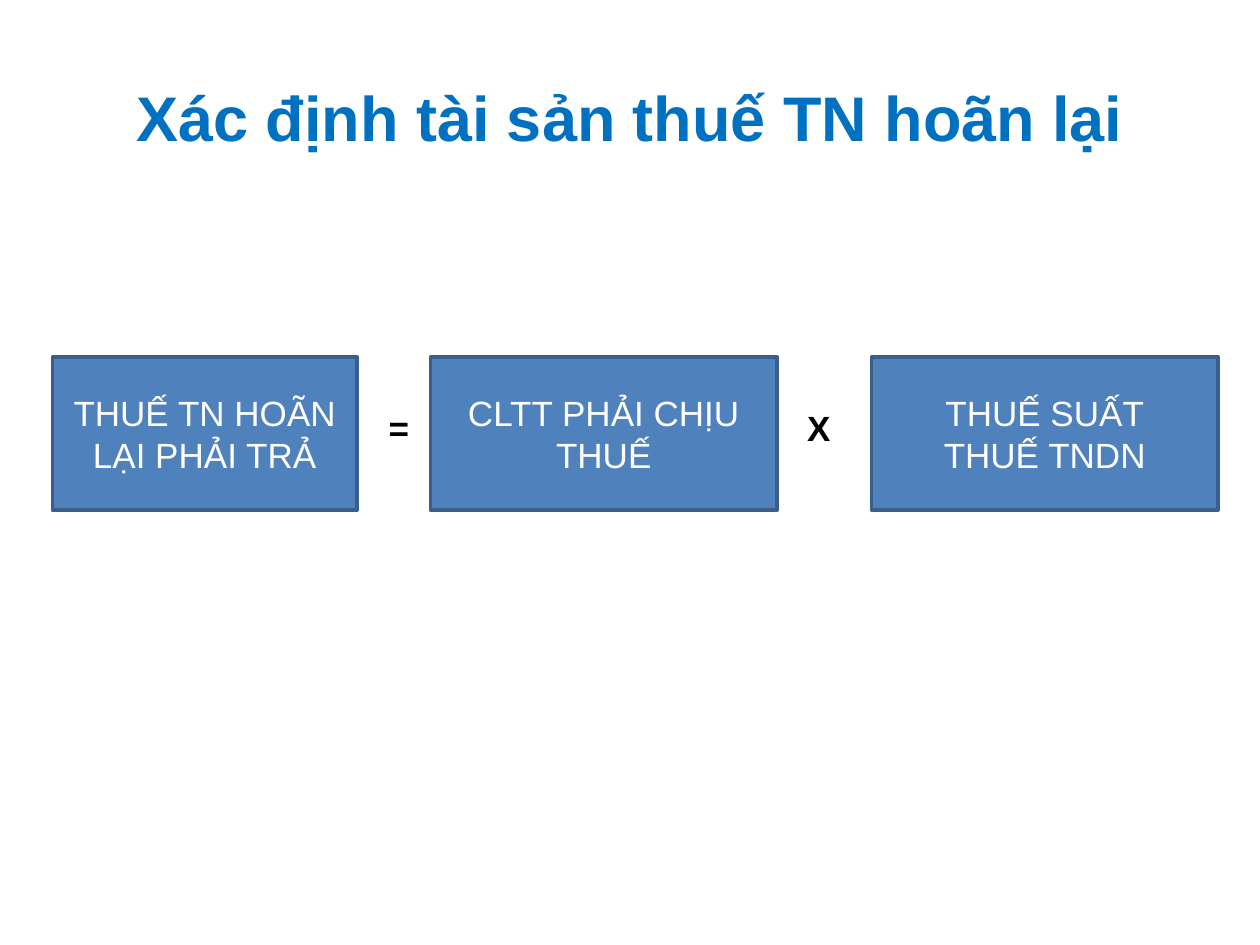
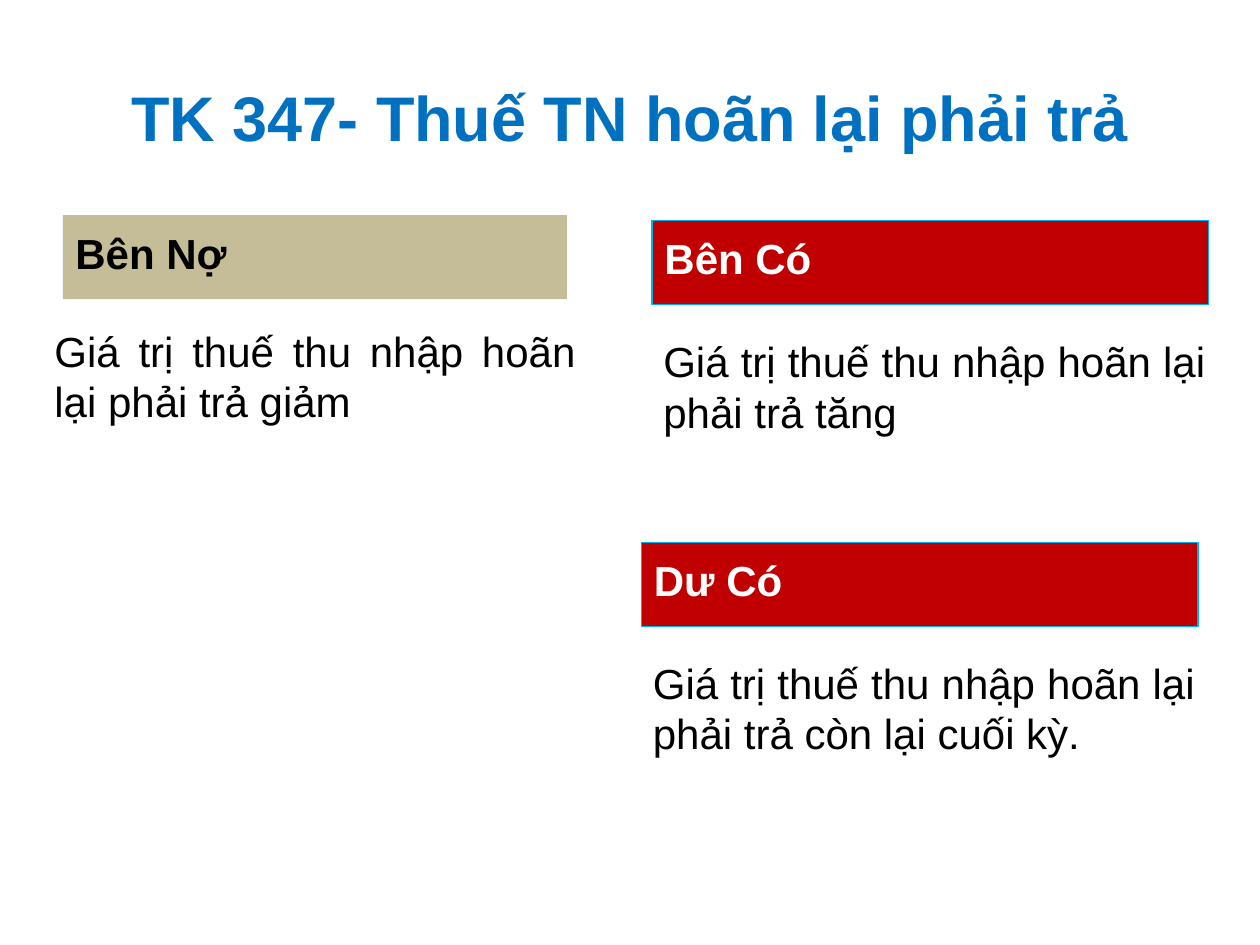
"""Build two slides on deferred income tax: a formula and the account 347 sides."""
from pptx import Presentation
from pptx.dml.color import RGBColor
from pptx.enum.shapes import MSO_SHAPE
from pptx.enum.text import MSO_ANCHOR, MSO_AUTO_SIZE, PP_ALIGN
from pptx.util import Inches, Pt

RECTANGLE, ROUNDED = MSO_SHAPE.RECTANGLE, MSO_SHAPE.ROUNDED_RECTANGLE
LEFT, CENTER, JUSTIFY = PP_ALIGN.LEFT, PP_ALIGN.CENTER, PP_ALIGN.JUSTIFY
MIDDLE = MSO_ANCHOR.MIDDLE
GROW = MSO_AUTO_SIZE.SHAPE_TO_FIT_TEXT

FONT = "Arial"
BLACK = RGBColor(0x00, 0x00, 0x00)
WHITE = RGBColor(0xFF, 0xFF, 0xFF)
TITLE_BLUE = RGBColor(0x00, 0x70, 0xC0)
BOX_BLUE = RGBColor(0x4F, 0x81, 0xBD)
BOX_EDGE = RGBColor(0x3A, 0x5F, 0x8C)
TAN = RGBColor(0xC4, 0xBD, 0x97)
RED = RGBColor(0xC0, 0x00, 0x00)
CYAN = RGBColor(0x00, 0xB0, 0xF0)

COLUMNS, ROWS = 120, 90
SLIDE_WIDTH, SLIDE_HEIGHT = Inches(10), Inches(7.5)
TITLE_AREA = (6, 3.6, 108, 15)

FORMULA_TITLE = "Xác định tài sản thuế TN hoãn lại"
FORMULA_ROW, FORMULA_HEIGHT = 34, 14.6
FORMULA_TERMS = [
    (5, 29, "THUẾ TN HOÃN LẠI PHẢI TRẢ"),
    (41, 33, "CLTT PHẢI CHỊU THUẾ"),
    (83, 33, "THUẾ SUẤT\nTHUẾ TNDN"),
]
OPERATOR_ROW, OPERATOR_WIDTH = 36.7, 6
OPERATORS = [(35, "="), (75, "X")]

ACCOUNT_TITLE = "TK 347- Thuế TN hoãn lại phải trả"
BAND_HEIGHT, BODY_HEIGHT = 8, 11
DEBIT = {"fill": TAN, "edge": None, "color": BLACK}
CREDIT = {"fill": RED, "edge": CYAN, "color": WHITE}
ACCOUNT_SIDES = [
    ("Bên Nợ", DEBIT, (6, 20.5, 48), (4, 30.4, 52),
     "Giá trị thuế thu nhập hoãn lại phải trả giảm"),
    ("Bên Có", CREDIT, (62.1, 21, 53), (62, 31.4, 54),
     "Giá trị thuế thu nhập hoãn lại phải trả tăng"),
    ("Dư Có", CREDIT, (61.1, 51.7, 53), (61, 62, 54),
     "Giá trị thuế thu nhập hoãn lại phải trả còn lại cuối kỳ."),
]


def place(left, top, width, height):
    """Turn grid columns and rows into slide lengths."""
    column, row = SLIDE_WIDTH / COLUMNS, SLIDE_HEIGHT / ROWS
    return int(left * column), int(top * row), int(width * column), int(height * row)


def write(shape, text, size, color, align, bold=False, line_spacing=None):
    """Fill a shape with uniformly formatted text."""
    frame = shape.text_frame
    frame.text = text
    frame.word_wrap = True
    for paragraph in frame.paragraphs:
        paragraph.alignment = align
        paragraph.line_spacing = line_spacing
        for run in paragraph.runs:
            run.font.name, run.font.size, run.font.bold = FONT, Pt(size), bold
            run.font.color.rgb = color


def add_box(slide, kind, area, fill=None, edge=None, edge_width=1):
    """Add a flat shape with optional fill and outline."""
    shape = slide.shapes.add_shape(kind, *place(*area))
    shape.shadow.inherit = False
    shape.text_frame.vertical_anchor = MIDDLE
    if fill is None:
        shape.fill.background()
    else:
        shape.fill.solid()
        shape.fill.fore_color.rgb = fill
    if edge is None:
        shape.line.fill.background()
    else:
        shape.line.color.rgb = edge
        shape.line.width = Pt(edge_width)
    return shape


def add_titled_slide(presentation, layout, title):
    """Add a slide with the shared title style."""
    slide = presentation.slides.add_slide(layout)
    write(slide.shapes.title, title, 36, TITLE_BLUE, CENTER, bold=True)
    return slide


def add_formula(slide):
    """Draw the formula terms and the operators between them."""
    for left, width, text in FORMULA_TERMS:
        area = (left, FORMULA_ROW, width, FORMULA_HEIGHT)
        box = add_box(slide, RECTANGLE, area, BOX_BLUE, BOX_EDGE, 2)
        write(box, text, 20, WHITE, CENTER)
    for left, sign in OPERATORS:
        area = (left, OPERATOR_ROW, OPERATOR_WIDTH, BAND_HEIGHT)
        write(add_box(slide, ROUNDED, area), sign, 20, BLACK, CENTER, bold=True)


def add_account(slide):
    """Draw each account side as a heading band with its explanation."""
    for heading, style, band_area, body_area, body in ACCOUNT_SIDES:
        band = add_box(slide, RECTANGLE, (*band_area, BAND_HEIGHT),
                       style["fill"], style["edge"], 0.75)
        write(band, heading, 24, style["color"], LEFT, bold=True, line_spacing=0.8)
        text_box = slide.shapes.add_textbox(*place(*body_area, BODY_HEIGHT))
        write(text_box, body, 24, BLACK, JUSTIFY)
        text_box.text_frame.auto_size = GROW


def main():
    presentation = Presentation()
    presentation.slide_width, presentation.slide_height = SLIDE_WIDTH, SLIDE_HEIGHT
    layout = presentation.slide_layouts.get_by_name("Title Only")
    title = layout.placeholders[0]
    title.left, title.top, title.width, title.height = place(*TITLE_AREA)
    add_formula(add_titled_slide(presentation, layout, FORMULA_TITLE))
    add_account(add_titled_slide(presentation, layout, ACCOUNT_TITLE))
    presentation.save("out.pptx")


if __name__ == "__main__":
    main()
